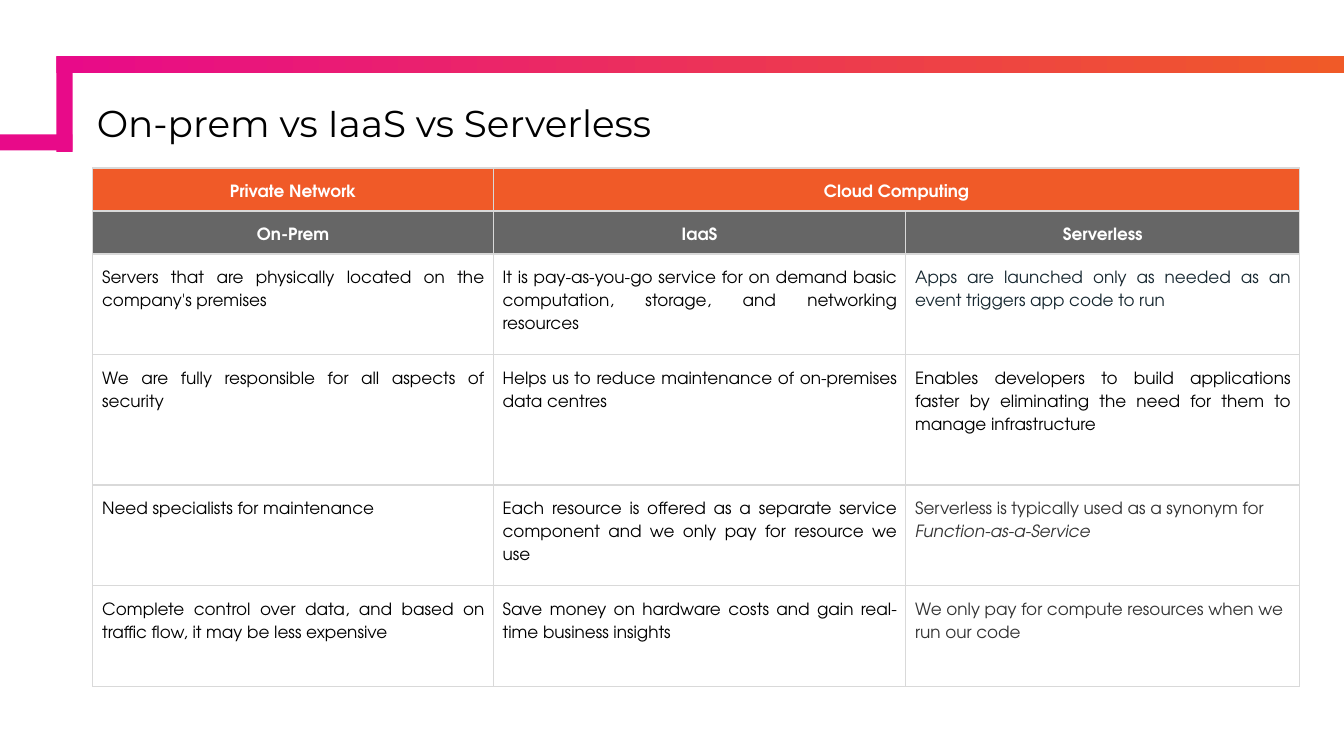
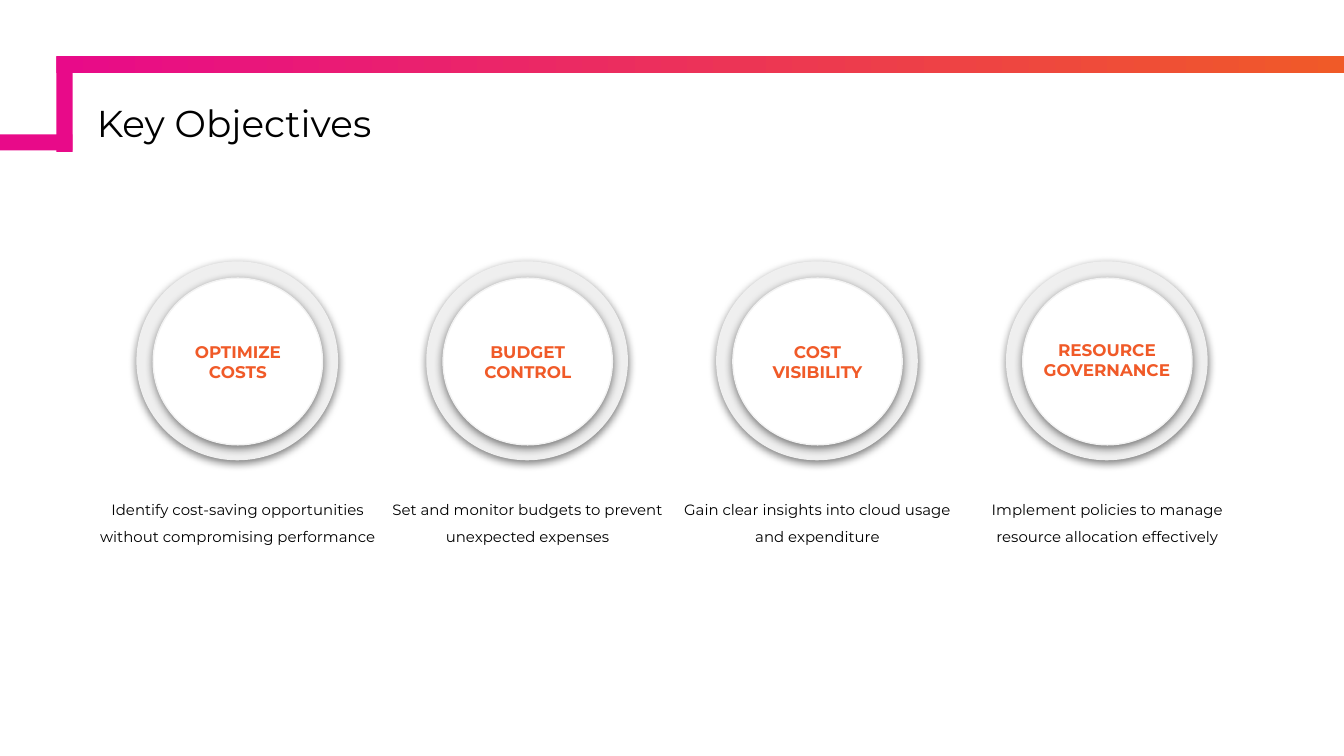
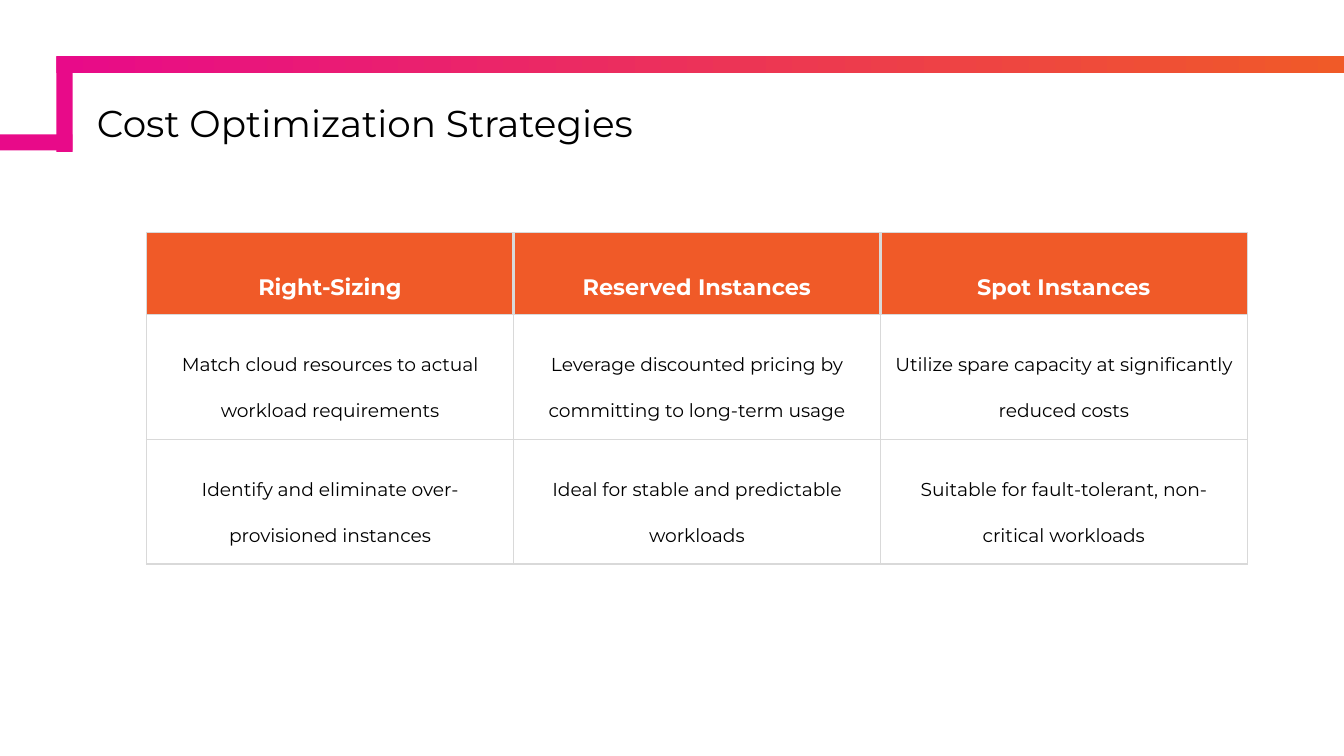
"""Build three slides on cloud models and cost control."""
import pptx
import pptx.dml.color
import pptx.enum.shapes
import pptx.enum.text
import pptx.oxml
import pptx.oxml.ns
import pptx.util

Inches = pptx.util.Inches
Pt = pptx.util.Pt
RGB = pptx.dml.color.RGBColor
Align = pptx.enum.text.PP_ALIGN
Anchor = pptx.enum.text.MSO_ANCHOR
Shape = pptx.enum.shapes.MSO_SHAPE
qn = pptx.oxml.ns.qn

ORANGE = RGB(0xF0, 0x5A, 0x28)
PINK = RGB(0xE8, 0x0A, 0x89)
GREY = RGB(0x66, 0x66, 0x66)
RULE = RGB(0xD9, 0xD9, 0xD9)
RING = RGB(0xEF, 0xEF, 0xEF)
RIM = RGB(0xF3, 0xF3, 0xF3)
INK = RGB(0x17, 0x28, 0x31)
DARK = RGB(0x33, 0x33, 0x33)
BLACK = RGB(0, 0, 0)
WHITE = RGB(0xFF, 0xFF, 0xFF)

SANS = "Montserrat"
ROUND = "TeX Gyre Adventor"
BAND = 0.12

MODELS = [
    ["Private Network", "Cloud Computing", ""],
    ["On-Prem", "IaaS", "Serverless"],
    ["Servers that are physically located on the company's premises",
     "It is pay-as-you-go service for on demand basic computation, storage, and networking resources",
     "Apps are launched only as needed as an event triggers app code to run"],
    ["We are fully responsible for all aspects of security",
     "Helps us to reduce maintenance of on-premises data centres",
     "Enables developers to build applications faster by eliminating the need for them to manage infrastructure"],
    ["Need specialists for maintenance",
     "Each resource is offered as a separate service component and we only pay for resource we use",
     "Serverless is typically used as a synonym for "],
    ["Complete control over data, and based on traffic flow, it may be less expensive",
     "Save money on hardware costs and gain real-time business insights",
     "We only pay for compute resources when we run our code"],
]
TINTS = {(2, 2): INK, (4, 2): DARK, (5, 2): DARK}
LEFT = [(4, 0), (4, 2), (5, 2)]

GOALS = [
    ("OPTIMIZE COSTS", "Identify cost-saving opportunities without compromising performance"),
    ("BUDGET CONTROL", "Set and monitor budgets to prevent unexpected expenses"),
    ("COST VISIBILITY", "Gain clear insights into cloud usage and expenditure"),
    ("RESOURCE GOVERNANCE", "Implement policies to manage resource allocation effectively"),
]

PLANS = [
    ["Right-Sizing", "Reserved Instances", "Spot Instances"],
    ["Match cloud resources to actual workload requirements",
     "Leverage discounted pricing by committing to long-term usage",
     "Utilize spare capacity at significantly reduced costs"],
    ["Identify and eliminate over-provisioned instances",
     "Ideal for stable and predictable workloads",
     "Suitable for fault-tolerant, non-critical workloads"],
]


def inset(item, pad):
    """Set all four margins of a text frame or cell."""
    item.margin_left = item.margin_right = Inches(pad)
    item.margin_top = item.margin_bottom = Inches(pad)


def write(frame, text, face, size, color, bold=False, align=Align.CENTER, pitch=None, after=None):
    """Write one styled paragraph."""
    para = frame.paragraphs[0]
    para.text = text
    para.alignment = align
    para.line_spacing = pitch
    para.space_after = after
    font = para.font
    font.name, font.size, font.bold = face, Pt(size), bold
    font.color.rgb = color


def draw(slide, kind, left, top, wide, high, fill, line=None):
    """Add a flat shape."""
    shape = slide.shapes.add_shape(kind, Inches(left), Inches(top), Inches(wide), Inches(high))
    shape.shadow.inherit = False
    shape.fill.solid()
    shape.fill.fore_color.rgb = fill
    if line is None:
        shape.line.fill.background()
    else:
        shape.line.color.rgb = line
        shape.line.width = Pt(0.75)
    return shape


def shade(shape):
    """Cast a soft shadow downwards."""
    shape.element.spPr.find(qn("a:effectLst")).append(pptx.oxml.parse_xml(
        f'<a:outerShdw {pptx.oxml.ns.nsdecls("a")} blurRad="{Pt(4.5)}" dist="{Pt(1.5)}" '
        'dir="5400000" algn="bl" rotWithShape="0"><a:srgbClr val="000000">'
        '<a:alpha val="50000"/></a:srgbClr></a:outerShdw>'))


def box(slide, left, top, wide, high, anchor):
    """Add a wrapping text box and return its frame."""
    frame = slide.shapes.add_textbox(
        Inches(left), Inches(top), Inches(wide), Inches(high)).text_frame
    frame.word_wrap = True
    frame.vertical_anchor = anchor
    inset(frame, 0.1)
    return frame


def brand(slide):
    """Put the corner bands on the layout that the slides share."""
    top = draw(slide, Shape.RECTANGLE, 0.42, 0.42, 9.58, BAND, PINK)
    top.fill.gradient()
    top.fill.gradient_angle = 0
    for stop, color in zip(top.fill.gradient_stops, (PINK, ORANGE)):
        stop.color.rgb = color
    side = draw(slide, Shape.RECTANGLE, 0.42, 0.42, BAND, 0.71, PINK)
    foot = draw(slide, Shape.RECTANGLE, 0, 1, 0.54, BAND, PINK)
    for band in (top, side, foot):
        slide.slide_layout.shapes.element.append(band.element)


def page(deck, text):
    """Add a slide with its title."""
    slide = deck.slides.add_slide(deck.slide_layouts[5])
    title = slide.shapes.title
    title.left, title.top = Inches(0.67), Inches(0.78)
    title.width, title.height = Inches(9.03), Inches(0.35)
    frame = title.text_frame
    frame.vertical_anchor = Anchor.BOTTOM
    frame.auto_size = pptx.enum.text.MSO_AUTO_SIZE.NONE
    inset(frame, 0.05)
    write(frame, text, SANS, 20, BLACK, align=Align.LEFT, pitch=0.9)
    return slide


def edge(cell, sides):
    """Rule a cell's sides with the given widths."""
    props = cell._tc.get_or_add_tcPr()
    for side, width in zip("LRTB", sides):
        props.append(pptx.oxml.parse_xml(
            f'<a:ln{side} {pptx.oxml.ns.nsdecls("a")} w="{Pt(width)}"><a:solidFill>'
            f'<a:srgbClr val="{RULE}"/></a:solidFill></a:ln{side}>'))


def grid(slide, left, top, cols, rows, heads, pad, anchor, inner=0.75):
    """Add a ruled table with filled head rows."""
    table = slide.shapes.add_table(
        len(rows), len(cols), Inches(left), Inches(top),
        Inches(sum(cols)), Inches(sum(rows))).table
    table.first_row = table.horz_banding = False
    for col, wide in zip(table.columns, cols):
        col.width = Inches(wide)
    for y, high in enumerate(rows):
        table.rows[y].height = Inches(high)
        for x in range(len(cols)):
            cell = table.cell(y, x)
            inset(cell, pad)
            cell.vertical_anchor = anchor
            mid = inner if y == 0 else 0.75
            edge(cell, (mid if x else 0.75, mid if x < len(cols) - 1 else 0.75, 0.75, 0.75))
            if y < len(heads):
                cell.fill.solid()
                cell.fill.fore_color.rgb = heads[y]
            else:
                cell.fill.background()
    return table


def compare(deck):
    """Compare the three hosting models."""
    slide = page(deck, "On-prem vs IaaS vs Serverless")
    brand(slide)
    table = grid(slide, 0.69, 1.25, [2.98, 3.07, 2.93], [0.32, 0.32, 0.75, 0.97, 0.75, 0.75],
                 [ORANGE, GREY], 0.07, Anchor.TOP)
    table.cell(0, 1).merge(table.cell(0, 2))
    for y, row in enumerate(MODELS):
        for x, text in enumerate(row):
            if not text:
                continue
            head = y < 2
            align = Align.CENTER if head else Align.LEFT if (y, x) in LEFT else Align.JUSTIFY
            color = WHITE if head else TINTS.get((y, x), BLACK)
            write(table.cell(y, x).text_frame, text, ROUND, 9, color, head, align, 1.5)
    term = table.cell(4, 2).text_frame.paragraphs[0].add_run()
    term.text = "Function-as-a-Service"
    term.font.italic = True


def goals(deck):
    """Show each objective as a disc with a caption."""
    slide = page(deck, "Key Objectives")
    step = (7.49 - 1.02) / 3
    for i, (name, text) in enumerate(GOALS):
        left = 1.02 + i * step
        shade(draw(slide, Shape.OVAL, left, 1.95, 1.49, 1.47, RING, RING))
        disc = draw(slide, Shape.OVAL, left + 0.12, 2.07, 1.26, 1.24, WHITE, RIM)
        shade(disc)
        if len(name) < 16:
            label = disc.text_frame
            label.word_wrap = True
            label.vertical_anchor = Anchor.MIDDLE
            inset(label, 0.07)
        else:
            label = box(slide, left, 2.43, 1.49, 0.5, Anchor.TOP)
        write(label, name, SANS, 9, ORANGE, True)
        note = box(slide, left - 0.4, 3.59, 2.3, 0.54, Anchor.MIDDLE)
        write(note, text, SANS, 8, BLACK, pitch=1.5, after=Pt(10))


def plans(deck):
    """List the ways to cut costs."""
    slide = page(deck, "Cost Optimization Strategies")
    table = grid(slide, 1.09, 1.73, [2.73] * 3, [0.53, 0.93, 0.93],
                 [ORANGE], 0.1, Anchor.MIDDLE, 1.5)
    for y, row in enumerate(PLANS):
        size, color = (10, BLACK) if y else (12, WHITE)
        for x, text in enumerate(row):
            write(table.cell(y, x).text_frame, text, SANS, size, color, y == 0,
                  pitch=2.0, after=Pt(10))


def main():
    """Build and save the deck."""
    deck = pptx.Presentation()
    deck.slide_width = Inches(10)
    deck.slide_height = deck.slide_width * 9 // 16
    compare(deck)
    goals(deck)
    plans(deck)
    deck.save("out.pptx")


if __name__ == "__main__":
    main()
